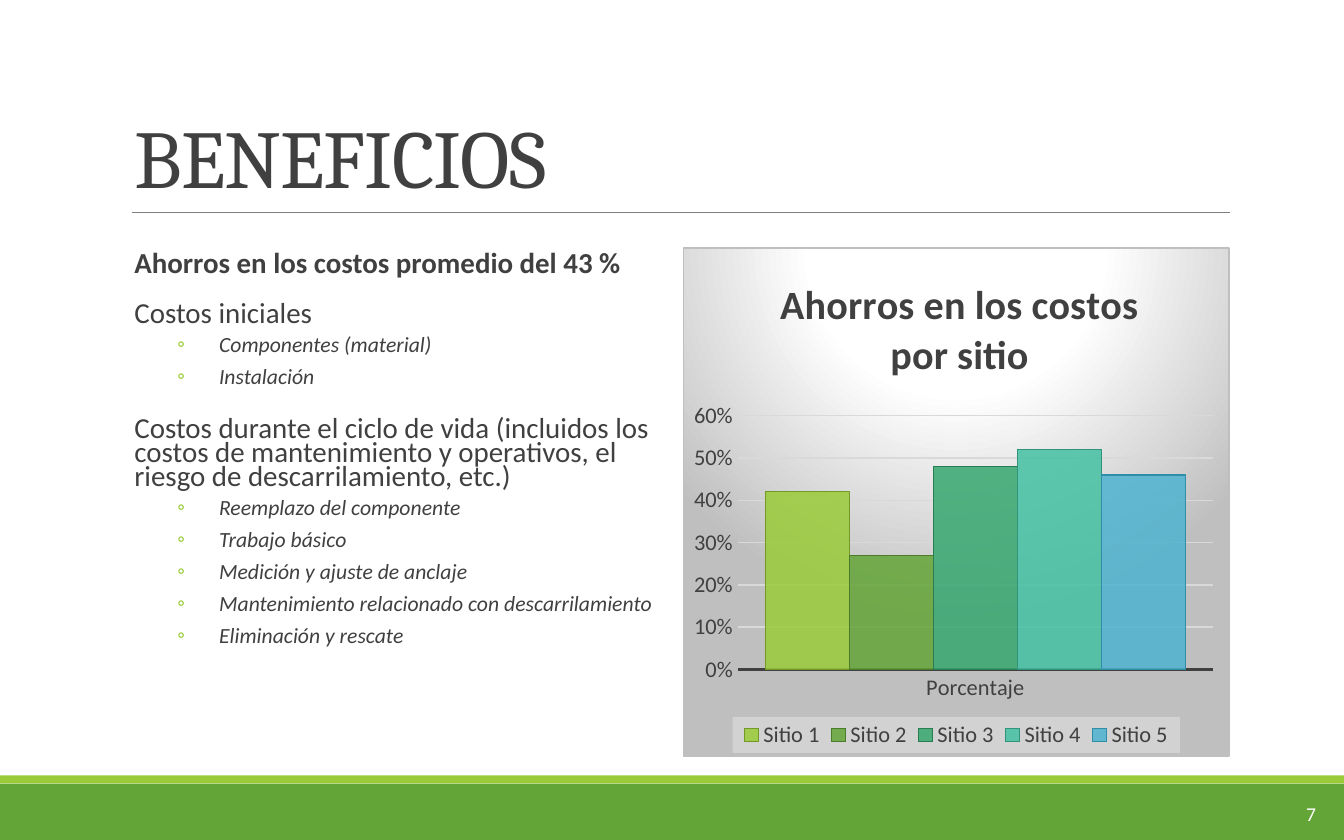
import pptx
import pptx.chart.data
import pptx.dml.color
import pptx.enum.chart
import pptx.enum.shapes
import pptx.enum.text
import pptx.oxml
import pptx.oxml.ns
import pptx.util

WIDE, HIGH = 10, 6.25
HUES = {"text": "404040", "band": "63A537", "lime": "99CB38", "rule": "808080",
        "edge": "BFBFBF", "grid": "D9D9D9", "white": "FFFFFF", "key": "F2F2F2"}
# Boxes are left, top, width, height in percent of the slide
BOXES = {"title": (9, 10.4, 82.5, 14.88), "rule": (9.8, 25.28, 81.7, 0),
         "list": (9, 29.44, 40.2, 60.64), "chart": (50.8, 29.44, 40.7, 60.64),
         "foot": (0, 92.32, 100, 7.68), "page": (88.9, 94.24, 10, 5.28)}
POINTS = [
    (0, "Ahorros en los costos promedio del 43 %"),
    (0, "Costos iniciales"),
    (1, "Componentes (material)"),
    (1, "Instalación"),
    (0, "Costos durante el ciclo de vida (incluidos los costos de mantenimiento"
        " y operativos, el riesgo de descarrilamiento, etc.)"),
    (1, "Reemplazo del componente"),
    (1, "Trabajo básico"),
    (1, "Medición y ajuste de anclaje"),
    (1, "Mantenimiento relacionado con descarrilamiento"),
    (1, "Eliminación y rescate"),
]
SITES = [("Sitio 1", 0.42, "99CB38", "739A28"), ("Sitio 2", 0.27, "63A537", "4A7C29"),
         ("Sitio 3", 0.48, "37A76F", "297D53"), ("Sitio 4", 0.52, "44C1A3", "31937B"),
         ("Sitio 5", 0.46, "4EB3CF", "2E8EA8")]
LEVELS = [
    {"size": 15.5, "left": 0.1, "hang": 0, "gaps": {"line_spacing": 0.7, "before": 12, "after": 2}},
    {"size": 11.6, "left": 0.73, "hang": -0.31, "gaps": {"line_spacing": 0.8, "before": 2, "after": 4}},
]
Pt = pptx.util.Pt


def span(box):
    """Turn a percent box into slide lengths."""
    sides = (WIDE, HIGH, WIDE, HIGH)
    return [pptx.util.Inches(part * side / 100) for part, side in zip(box, sides)]


def rgb(hue):
    return pptx.dml.color.RGBColor.from_string(hue)


def put(thing, **vals):
    for name, val in vals.items():
        setattr(thing, name, val)


def style(font, size, hue=HUES["text"], **vals):
    put(font, name="Calibri", size=Pt(size), **vals)
    font.color.rgb = rgb(hue)


def stroke(line, hue, width):
    line.color.rgb = rgb(hue)
    line.width = Pt(width)


def node(tag, inner="", **atts):
    """Make one XML element, with its children given as text."""
    text = "".join(f' {name}="{val}"' for name, val in atts.items())
    return pptx.oxml.parse_xml(
        f'<{tag} {pptx.oxml.ns.nsdecls("a", "c")}{text}>{inner}</{tag}>')


def layout(x, y, w=None, h=None, inner=False):
    """Make a chart layout from shares of the chart area."""
    parts = '<c:layoutTarget val="inner"/>' if inner else ""
    parts += '<c:xMode val="edge"/><c:yMode val="edge"/>'
    for name, val in zip("xywh", (x, y, w, h)):
        if val is not None:
            parts += f'<c:{name} val="{val}"/>'
    return node("c:layout", f"<c:manualLayout>{parts}</c:manualLayout>")


def relay(part, new):
    """Give a chart part its layout, in place of any old one."""
    old = part.find(pptx.oxml.ns.qn("c:layout"))
    if old is not None:
        part.replace(old, new)
    elif part.find(pptx.oxml.ns.qn("c:tx")) is not None:
        part.find(pptx.oxml.ns.qn("c:tx")).addnext(new)
    elif part.find(pptx.oxml.ns.qn("c:legendPos")) is not None:
        part.find(pptx.oxml.ns.qn("c:legendPos")).addnext(new)
    else:
        part.insert(0, new)


def add_head(slide, box, rule):
    title = slide.shapes.title
    put(title, **dict(zip(("left", "top", "width", "height"), span(box))))
    frame = title.text_frame
    put(frame, text="BENEFICIOS", word_wrap=True,
        vertical_anchor=pptx.enum.text.MSO_ANCHOR.BOTTOM)
    para = frame.paragraphs[0]
    put(para, line_spacing=0.85, alignment=pptx.enum.text.PP_ALIGN.LEFT)
    run = para.runs[0]
    style(run.font, 44)
    run.font.name = "Cambria"
    props = run.font._element
    props.set("spc", "-50")
    props.set("cap", "small")
    x, y, w, h = span(rule)
    line = slide.shapes.add_connector(
        pptx.enum.shapes.MSO_CONNECTOR.STRAIGHT, x, y, x + w, y + h)
    stroke(line.line, HUES["rule"], 0.5)
    line._element.spPr.append(node("a:effectLst"))


def add_list(slide, box):
    frame = slide.shapes.add_textbox(*span(box)).text_frame
    put(frame, word_wrap=True, margin_left=0, margin_right=0)
    for i, (rank, text) in enumerate(POINTS):
        para = frame.add_paragraph() if i else frame.paragraphs[0]
        form = LEVELS[rank]
        gaps = form["gaps"]
        put(para, level=rank, line_spacing=gaps["line_spacing"],
            space_before=Pt(gaps["before"]), space_after=Pt(gaps["after"]))
        run = para.add_run()
        run.text = text
        style(run.font, form["size"], bold=i == 0, italic=rank == 1)
        props = para._p.get_or_add_pPr()
        props.set("marL", str(pptx.util.Inches(form["left"])))
        props.set("indent", str(pptx.util.Inches(form["hang"])))
        if rank:
            props.append(node("a:buClr", f'<a:srgbClr val="{HUES["lime"]}"/>'))
            props.append(node("a:buFont", typeface="Calibri"))
            props.append(node("a:buChar", char="◦"))


def add_bars(slide, box):
    kinds = pptx.enum.chart
    data = pptx.chart.data.CategoryChartData(number_format="0%")
    data.categories = ["Porcentaje"]
    for name, val, *_ in SITES:
        data.add_series(name, [val])
    chart = slide.shapes.add_chart(
        kinds.XL_CHART_TYPE.COLUMN_CLUSTERED, *span(box), data).chart
    style(chart.font, 12)
    plot = chart.plots[0]
    put(plot, gap_width=65, overlap=0, vary_by_categories=False)
    for bar, (_, _, fill, edge) in zip(plot.series, SITES):
        bar.format.fill.solid()
        bar.format.fill.fore_color.rgb = rgb(fill)
        tint = bar._element.find(".//" + pptx.oxml.ns.qn("a:srgbClr"))
        tint.append(node("a:alpha", val=85000))
        stroke(bar.format.line, edge, 0.75)
    set_axes(chart)
    set_title(chart)
    set_key(chart)
    area = chart.element.find(".//" + pptx.oxml.ns.qn("c:plotArea"))
    relay(area, layout(0.1, 0.33, 0.87, 0.5, inner=True))
    stops = "".join(f'<a:gs pos="{pos}000"><a:srgbClr val="{HUES[hue]}"/></a:gs>'
                    for pos, hue in ((0, "white"), (39, "white"), (100, "edge")))
    back = (f'<a:gradFill><a:gsLst>{stops}</a:gsLst><a:path path="circle">'
            '<a:fillToRect l="50000" t="-80000" r="50000" b="180000"/></a:path></a:gradFill>'
            f'<a:ln w="{Pt(0.75)}"><a:solidFill><a:srgbClr val="{HUES["edge"]}"/>'
            '</a:solidFill></a:ln>')
    chart.element.find(pptx.oxml.ns.qn("c:chart")).addnext(node("c:spPr", back))


def set_axes(chart):
    for axis in (chart.category_axis, chart.value_axis):
        put(axis, major_tick_mark=pptx.enum.chart.XL_TICK_MARK.NONE)
        style(axis.tick_labels.font, 12)
    stroke(chart.category_axis.format.line, HUES["text"], 1.5)
    axis = chart.value_axis
    put(axis, minimum_scale=0, maximum_scale=0.6, major_unit=0.1)
    put(axis.tick_labels, number_format="0%", number_format_is_linked=False)
    axis.format.line.fill.background()
    stroke(axis.major_gridlines.format.line, HUES["grid"], 0.75)


def set_title(chart):
    chart.has_title = True
    frame = chart.chart_title.text_frame
    for i, text in enumerate(("Ahorros en los costos", "por sitio")):
        para = frame.add_paragraph() if i else frame.paragraphs[0]
        para.alignment = pptx.enum.text.PP_ALIGN.CENTER
        run = para.add_run()
        run.text = text
        style(run.font, 21.6, bold=True)
    relay(chart.chart_title._element, layout(0.17, 0.05))


def set_key(chart):
    chart.has_legend = True
    key = chart.legend
    put(key, position=pptx.enum.chart.XL_LEGEND_POSITION.BOTTOM, include_in_layout=False)
    style(key.font, 12)
    fill = (f'<a:solidFill><a:srgbClr val="{HUES["key"]}">'
            '<a:alpha val="39000"/></a:srgbClr></a:solidFill>')
    key._element.find(pptx.oxml.ns.qn("c:txPr")).addprevious(node("c:spPr", fill))
    relay(key._element, layout(0.09, 0.93, 0.82, 0.07))


def add_foot(slide, box, page):
    x, y, w, h = box
    lip = h / 8
    for hue, part in (("band", (x, y + lip, w, h - lip)), ("lime", (x, y, w, lip))):
        band = slide.shapes.add_shape(pptx.enum.shapes.MSO_SHAPE.RECTANGLE, *span(part))
        band.shadow.inherit = False
        band.fill.solid()
        band.fill.fore_color.rgb = rgb(HUES[hue])
        band.line.fill.background()
    frame = slide.shapes.add_textbox(*span(page)).text_frame
    put(frame, text="7", word_wrap=True, vertical_anchor=pptx.enum.text.MSO_ANCHOR.MIDDLE)
    para = frame.paragraphs[0]
    para.alignment = pptx.enum.text.PP_ALIGN.RIGHT
    style(para.runs[0].font, 10.5, HUES["white"])


def main():
    deck = pptx.Presentation()
    put(deck, slide_width=pptx.util.Inches(WIDE), slide_height=pptx.util.Inches(HIGH))
    slide = deck.slides.add_slide(deck.slide_layouts[5])
    add_foot(slide, BOXES["foot"], BOXES["page"])
    add_head(slide, BOXES["title"], BOXES["rule"])
    add_list(slide, BOXES["list"])
    add_bars(slide, BOXES["chart"])
    deck.save("out.pptx")


if __name__ == "__main__":
    main()
